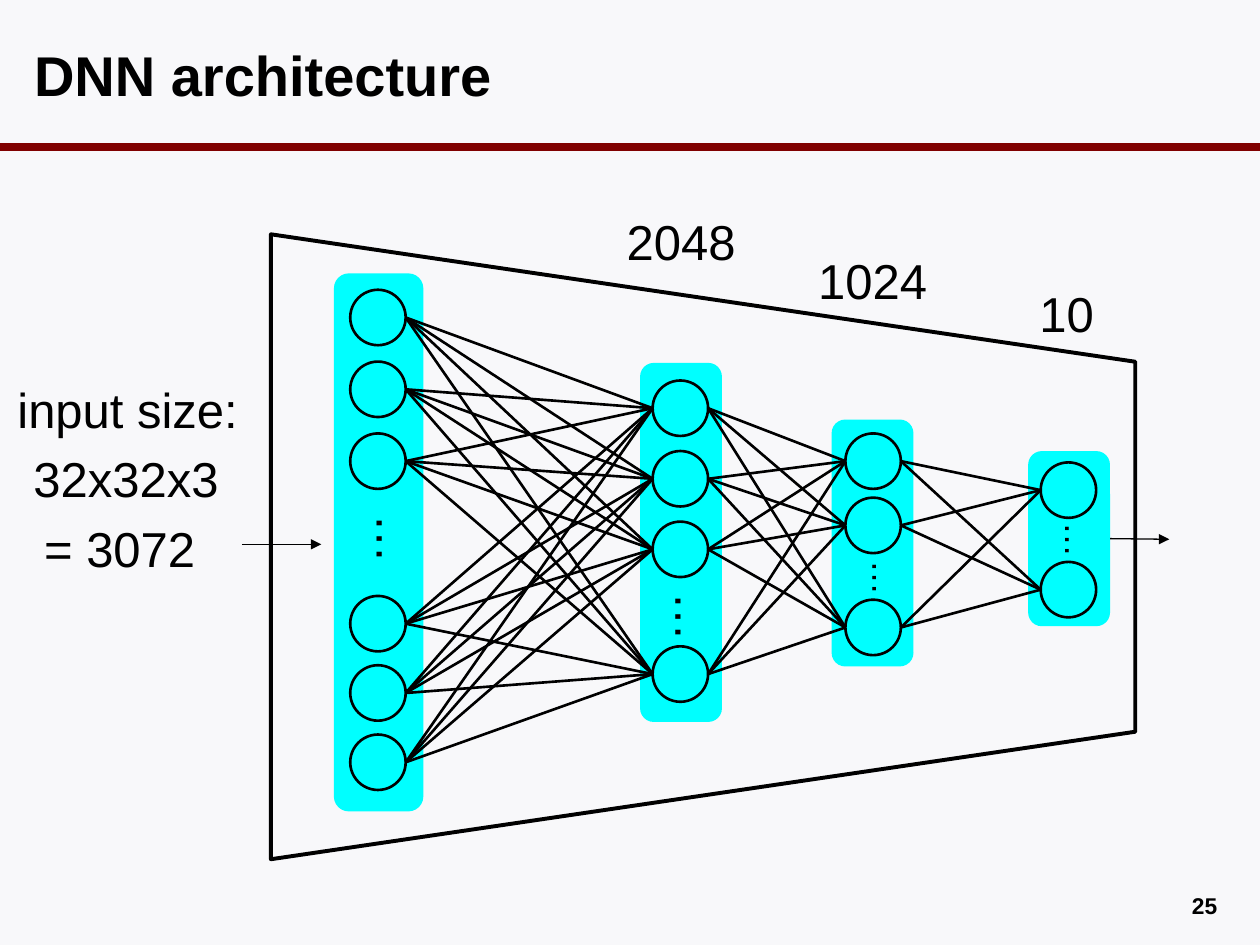
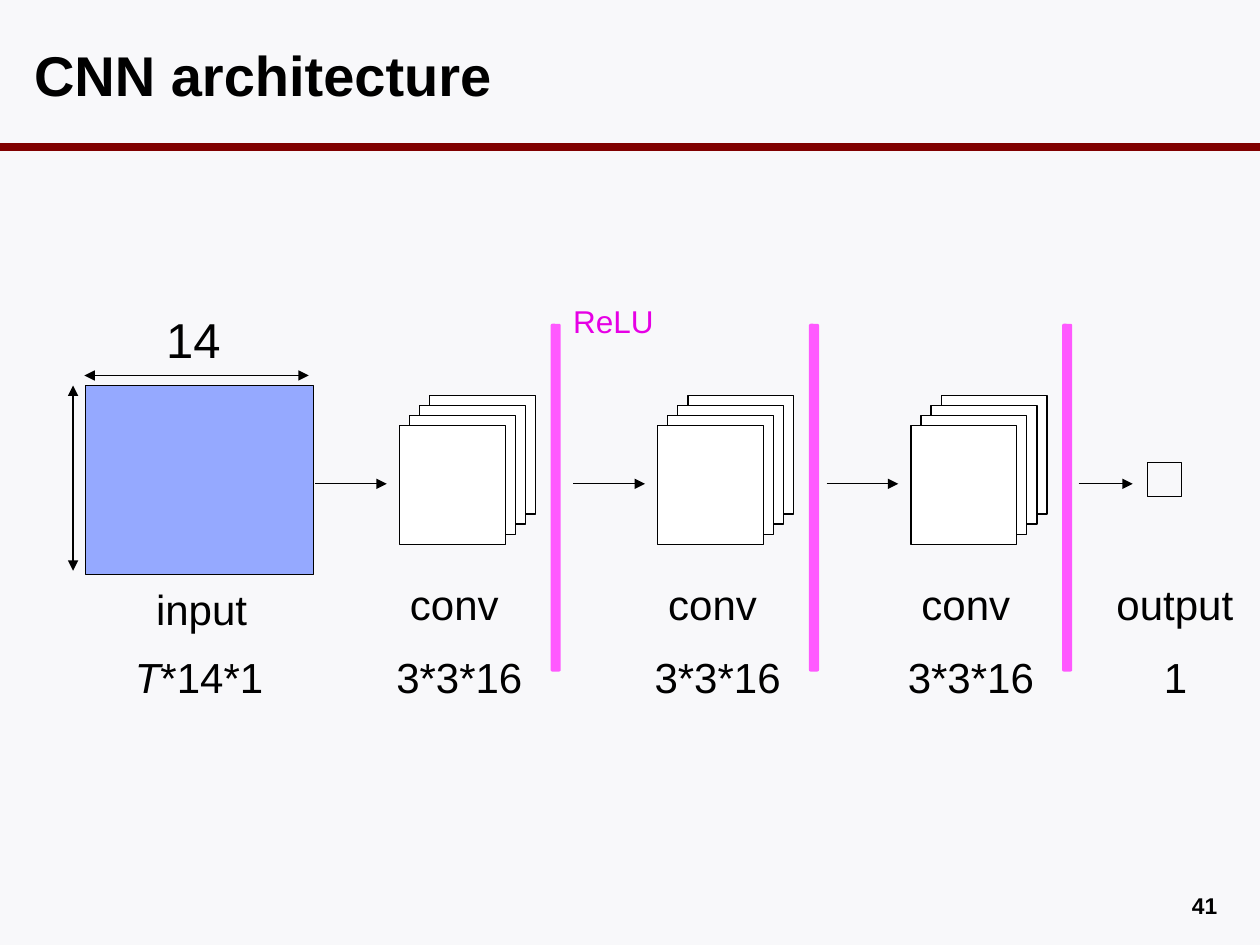
import itertools

import lxml.etree
import pptx
import pptx.dml.color
import pptx.enum.shapes
import pptx.enum.text
import pptx.oxml.ns
import pptx.util

Inches = pptx.util.Inches
SHAPE = pptx.enum.shapes.MSO_SHAPE
ALIGN = pptx.enum.text.PP_ALIGN
ANCHOR = pptx.enum.text.MSO_ANCHOR

COLOURS = {
    "background": "F8F8FA",
    "ink": "000000",
    "rule": "800000",
    "layer": "00FFFF",
    "input": "95A9FF",
    "card": "FFFFFF",
    "relu_bar": "FF59FF",
    "relu_text": "E600E5",
}
TITLE_ONLY = 5
NEURON = 0.44

LAYERS = [
    {"band": (2.65, 2.17, 0.71, 4.27), "left": 2.78,
     "tops": (2.3, 2.87, 3.44, 4.73, 5.28, 5.83)},
    {"band": (5.08, 2.88, 0.65, 2.85), "left": 5.18,
     "tops": (3.02, 3.58, 4.14, 5.13)},
    {"band": (6.6, 3.33, 0.65, 1.96), "left": 6.71,
     "tops": (3.44, 3.95, 4.76)},
    {"band": (8.16, 3.58, 0.65, 1.39), "left": 8.26,
     "tops": (3.67, 4.46)},
]
LAYER_LABELS = [
    ("input size:", (0.04, 2.96, 2.03, 0.57), ALIGN.LEFT),
    ("32x32x3", (0.15, 3.51, 1.7, 0.57), ALIGN.CENTER),
    ("= 3072", (0.1, 4.07, 1.7, 0.57), ALIGN.CENTER),
    ("2048", (4.83, 1.63, 1.15, 0.57), ALIGN.CENTER),
    ("1024", (6.35, 1.94, 1.15, 0.57), ALIGN.CENTER),
    ("10", (7.89, 2.2, 1.15, 0.57), ALIGN.CENTER),
]
ELLIPSES = [
    ((2.75, 3.99, 0.79, 0.57), 28),
    ((5.12, 4.61, 0.79, 0.57), 28),
    ((6.64, 4.37, 0.79, 0.44), 20),
    ((8.17, 4.07, 0.79, 0.44), 20),
]
CONV_LEFTS = (3.41, 5.46, 7.47)
FLOW_Y = 3.84


def rgb(name):
    return pptx.dml.color.RGBColor.from_string(COLOURS[name])


def set_values(target, values):
    for name, value in values.items():
        setattr(target, name, value)


def place(shape, at):
    names = ("left", "top", "width", "height")
    set_values(shape, dict(zip(names, map(Inches, at))))


def write(box, spans, size, colour="ink", bold=False, align=ALIGN.LEFT,
          anchor=ANCHOR.TOP, inset=0.1):
    frame = box.text_frame
    set_values(frame, {
        "word_wrap": True,
        "vertical_anchor": anchor,
        "margin_left": Inches(inset),
        "margin_right": Inches(inset),
        "margin_top": Inches(0.05),
        "margin_bottom": Inches(0.05),
    })
    para = frame.paragraphs[0]
    para.alignment = align
    for text, italic in spans:
        span = para.add_run()
        span.text = text
        set_values(span.font, {
            "name": "Arial",
            "size": pptx.util.Pt(size),
            "bold": bold,
            "italic": italic,
        })
        span.font.color.rgb = rgb(colour)


def add_label(page, text, at, size, rotation=0, **style):
    box = page.shapes.add_textbox(*map(Inches, at))
    box.rotation = rotation
    spans = [(text, False)] if isinstance(text, str) else text
    write(box, spans, size, **style)
    return box


def add_block(shapes, kind, at, fill=None, line=None):
    block = shapes.add_shape(kind, *map(Inches, at))
    block.shadow.inherit = False
    if fill:
        block.fill.solid()
        block.fill.fore_color.rgb = rgb(fill)
    else:
        block.fill.background()
    if line:
        block.line.color.rgb = rgb("ink")
        block.line.width = pptx.util.Pt(line)
    else:
        block.line.fill.background()
    return block


def add_line(page, start, end, width=0.75, colour="ink", ends=()):
    line = page.shapes.add_connector(
        pptx.enum.shapes.MSO_CONNECTOR.STRAIGHT, *map(Inches, start + end))
    line.line.color.rgb = rgb(colour)
    line.line.width = pptx.util.Pt(width)
    properties = line.element.spPr
    outline = properties.find(pptx.oxml.ns.qn("a:ln"))
    for name in ends:
        lxml.etree.SubElement(
            outline, pptx.oxml.ns.qn(f"a:{name}"), type="triangle")
    lxml.etree.SubElement(properties, pptx.oxml.ns.qn("a:effectLst"))
    return line


def add_arrow(page, start, end):
    return add_line(page, start, end, ends=("tailEnd",))


def add_measure(page, start, end):
    return add_line(page, start, end, ends=("headEnd", "tailEnd"))


def add_page(deck, title, number):
    page = deck.slides.add_slide(deck.slide_layouts[TITLE_ONLY])
    add_line(page, (0, 1.17), (10, 1.17), 4.5, "rule")
    place(page.shapes.title, (0.17, 0.17, 9.56, 0.83))
    write(page.shapes.title, [(title, False)], 32, bold=True,
          anchor=ANCHOR.MIDDLE)
    add_label(page, number, (7.42, 7.03, 2.33, 0.27), 13, bold=True,
              align=ALIGN.RIGHT, inset=0.09)
    return page


def add_layer(page, layer):
    band = add_block(page.shapes, SHAPE.ROUNDED_RECTANGLE, layer["band"],
                     "layer")
    for top in layer["tops"]:
        add_block(page.shapes, SHAPE.OVAL,
                  (layer["left"], top, NEURON, NEURON), line=1.5)
    return band


def join_layers(page, source, target):
    for top, next_top in itertools.product(source["tops"], target["tops"]):
        add_line(page, (source["left"] + NEURON, top + NEURON / 2),
                 (target["left"], next_top + NEURON / 2), 1.5)


def add_conv(page, left):
    add_arrow(page, (left - 0.91, FLOW_Y), (left - 0.34, FLOW_Y))
    add_block(page.shapes, SHAPE.ROUNDED_RECTANGLE,
              (left + 0.96, 2.57, 0.08, 2.76), "relu_bar")
    stack = page.shapes.add_group_shape()
    for step in range(4):
        shift = step * 0.08
        add_block(stack.shapes, SHAPE.RECTANGLE,
                  (left - shift, 3.14 + shift, 0.84, 0.94), "card", 0.75)
    add_label(page, "conv", (left - 0.48, 4.54, 1.35, 0.39), 24,
              align=ALIGN.CENTER)
    add_label(page, "3*3*16", (left - 0.57, 5.12, 1.61, 0.32), 24,
              align=ALIGN.CENTER)


def build_dnn(deck):
    page = add_page(deck, "DNN architecture", "25")
    bands = [add_layer(page, layer) for layer in LAYERS]
    network = add_block(page.shapes, SHAPE.TRAPEZOID,
                        (3.1, 0.91, 4.96, 6.86), line=2.25)
    network.adjustments[0] = 0.204
    network.rotation = 90
    for source, target in zip(LAYERS, LAYERS[1:]):
        join_layers(page, source, target)
    add_arrow(page, (1.92, 4.32), (2.55, 4.32))
    output = add_arrow(page, (8.81, 4.28), (9.28, 4.28))
    output.begin_connect(bands[-1], 3)
    for text, at, align in LAYER_LABELS:
        add_label(page, text, at, 28, align=align)
    for at, size in ELLIPSES:
        add_label(page, "…", at, size, rotation=90, align=ALIGN.CENTER,
                  anchor=ANCHOR.MIDDLE)


def build_cnn(deck):
    page = add_page(deck, "CNN architecture", "41")
    add_measure(page, (0.58, 3.06), (0.58, 4.53))
    add_measure(page, (2.45, 2.98), (0.67, 2.98))
    add_label(page, "14", (1.22, 2.41, 0.7, 0.57), 28)
    add_block(page.shapes, SHAPE.RECTANGLE, (0.68, 3.06, 1.81, 1.5),
              "input", 0.75)
    add_label(page, "input", (1.14, 4.58, 1.27, 0.5), 24)
    add_label(page, [("T", True), ("*14*1", False)],
              (0.76, 5.12, 1.64, 0.32), 24, align=ALIGN.CENTER)
    for left in CONV_LEFTS:
        add_conv(page, left)
    add_label(page, "ReLU", (4.45, 2.35, 1.35, 0.39), 18,
              colour="relu_text")
    add_arrow(page, (8.56, FLOW_Y), (8.99, FLOW_Y))
    add_block(page.shapes, SHAPE.RECTANGLE, (9.11, 3.67, 0.27, 0.27),
              line=0.75)
    add_label(page, "output", (8.61, 4.54, 1.43, 0.39), 24,
              align=ALIGN.CENTER)
    add_label(page, "1", (8.51, 5.12, 1.64, 0.32), 24, align=ALIGN.CENTER)


def main():
    deck = pptx.Presentation()
    set_values(deck, {"slide_width": Inches(10),
                      "slide_height": Inches(7.5)})
    background = deck.slide_master.background.fill
    background.solid()
    background.fore_color.rgb = rgb("background")
    build_dnn(deck)
    build_cnn(deck)
    deck.save("out.pptx")


if __name__ == "__main__":
    main()
